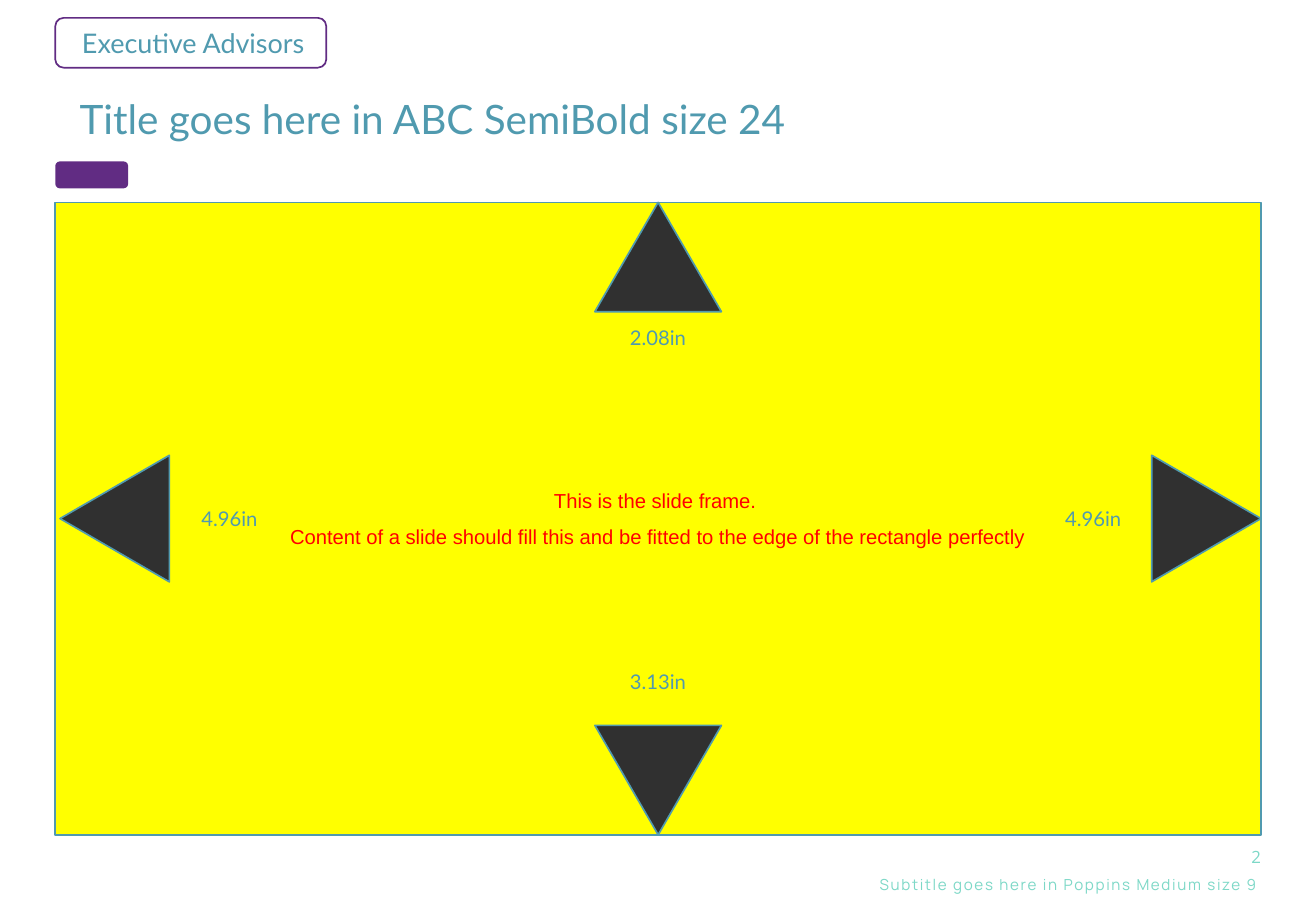
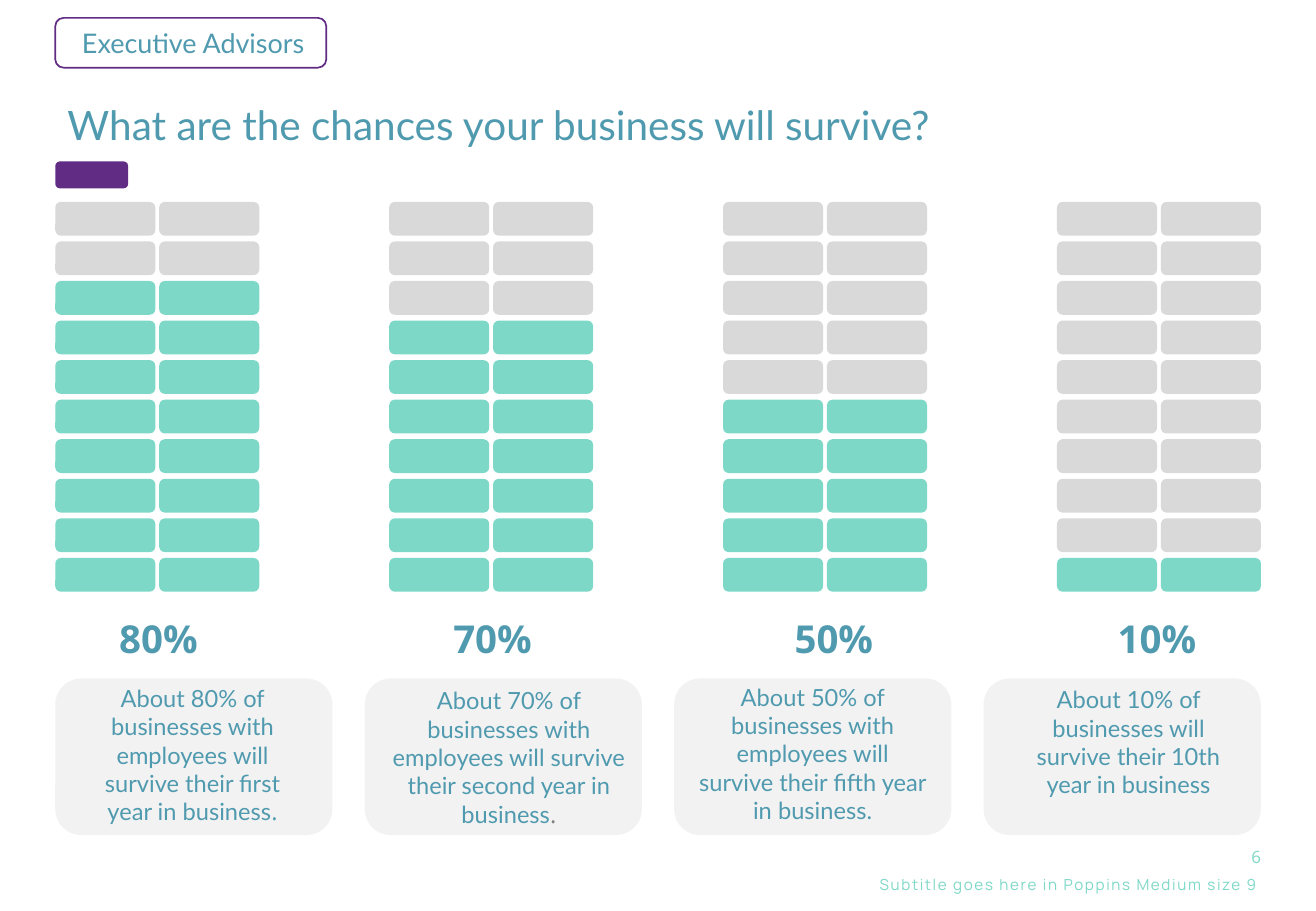
"""Build two slides on the Executive Advisors template: slide frame guide and survival rates."""
from lxml.etree import SubElement
from pptx import Presentation
from pptx.dml.color import RGBColor
from pptx.enum.shapes import MSO_SHAPE as Preset
from pptx.enum.text import MSO_ANCHOR as Anchor, MSO_AUTO_SIZE as AutoSize, PP_ALIGN as Align
from pptx.oxml.ns import qn
from pptx.util import Pt

COLORS = {
    "blue": "509AAF", "purple": "612C83", "mint": "7DD8C7", "gray": "D9D9D9",
    "card": "F2F2F2", "yellow": "FFFF00", "dark": "303030", "red": "FF0000",
    "stop": "808080",
}
FONTS = {
    "label": {"name": "Lato", "size": Pt(16)},
    "title": {"name": "Lato", "size": Pt(24), "bold": False},
    "number": {"name": "Open Sans", "size": Pt(10)},
    "subtitle": {"name": "Manrope", "size": Pt(9)},
    "guide": {"name": "Arial", "size": Pt(12)},
    "measure": {"name": "Lato", "size": Pt(12)},
    "percent": {"name": "Open Sans", "size": Pt(22.8), "bold": True},
    "caption": {"name": "Lato", "size": Pt(14)},
    "period": {"name": "Open Sans", "size": Pt(14)},
}
LEFT, TOP, WIDTH, HEIGHT = 32.8, 120, 714.5, 375


def apply(target, values):
    for name, value in values.items():
        setattr(target, name, value)


def rgb(color):
    return RGBColor.from_string(COLORS[color])


class Deck:
    def __init__(self):
        self.deck = Presentation()
        apply(self.deck, {"slide_width": Pt(780), "slide_height": Pt(540)})
        self.page = None

    def place(self, box, area):
        apply(box, dict(zip(("left", "top", "width", "height"), map(Pt, area))))

    def add_words(self, box, paragraphs, align=Align.LEFT, anchor=Anchor.TOP,
                  insets=(7.2, 3.6, 7.2, 3.6), wrap=True, gap=0):
        frame = box.text_frame
        margins = ("margin_left", "margin_top", "margin_right", "margin_bottom")
        apply(frame, dict(zip(margins, map(Pt, insets))))
        apply(frame, {"auto_size": AutoSize.NONE, "word_wrap": wrap,
                      "vertical_anchor": anchor})
        for index, spans in enumerate(paragraphs):
            para = frame.add_paragraph() if index else frame.paragraphs[0]
            apply(para, {"alignment": align, "space_before": Pt(gap if index else 0)})
            for text, style, color in spans:
                span = para.add_run()
                span.text = text
                apply(span.font, FONTS[style])
                span.font.color.rgb = rgb(color)

    def text(self, area, paragraphs, **layout):
        box = self.page.shapes.add_textbox(*map(Pt, area))
        self.add_words(box, paragraphs, **layout)

    def shape(self, preset, area, fill=None, line=None, rotation=0):
        box = self.page.shapes.add_shape(preset, *map(Pt, area))
        box.shadow.inherit = False
        box.rotation = rotation
        if fill:
            box.fill.solid()
            box.fill.fore_color.rgb = rgb(fill)
        else:
            box.fill.background()
        if line:
            box.line.color.rgb = rgb(line)
            box.line.width = Pt(1)
        else:
            box.line.fill.background()
        return box

    def subtitle(self, text):
        box = self.page.placeholders[1]
        self.place(box, (499.7, 519, 247.6, 11))
        self.add_words(box, [[(text, "subtitle", "mint")]], align=Align.RIGHT,
                       anchor=Anchor.MIDDLE, insets=(0, 0, 0, 0))
        para = box.text_frame.paragraphs[0]
        properties = para._p.get_or_add_pPr()
        properties.set("marL", "0")
        properties.set("indent", "0")
        SubElement(properties, qn("a:buNone"))
        para.runs[0]._r.get_or_add_rPr().set("spc", "100")

    def new_page(self, title, number, title_insets):
        self.page = self.deck.slides.add_slide(self.deck.slide_layouts[1])
        label = self.shape(Preset.ROUNDED_RECTANGLE, (LEFT, 10.6, 160.6, 29.5), line="purple")
        self.add_words(label, [[("Executive Advisors", "label", "blue")]],
                       insets=(14.4, 3.6, 7.2, 3.6))
        self.shape(Preset.ROUNDED_RECTANGLE, (LEFT, 95.7, 43.2, 16), fill="purple")
        heading = self.page.shapes.title
        self.place(heading, (LEFT, 52, 672.5, 42.5))
        self.add_words(heading, [[(title, "title", "blue")]], insets=title_insets)
        self.text((725, 500.4, 29.5, 15), [[(number, "number", "mint")]],
                  align=Align.RIGHT, anchor=Anchor.MIDDLE)
        self.subtitle("Subtitle goes here in Poppins Medium size 9 ")

    def stack(self, left, filled):
        for row in range(10):
            for side in range(2):
                area = (left + side * 61.6, 119.7 + row * 23.45, 59.3, 20)
                self.shape(Preset.ROUNDED_RECTANGLE, area,
                           fill="mint" if row >= 10 - filled else "gray")


def frame_page(deck):
    deck.new_page("Title goes here in ABC SemiBold size 24", "2", (14.4, 3.6, 14.4, 3.6))
    frame = deck.shape(Preset.RECTANGLE, (LEFT, TOP, WIDTH, HEIGHT), "yellow", "blue")
    lines = (
        "This is the slide frame. ",
        "Content of a slide should fill this and be fitted to the edge of the rectangle perfectly",
    )
    deck.add_words(frame, [[(line, "guide", "red")] for line in lines], align=Align.CENTER,
                   anchor=Anchor.MIDDLE, insets=(0, 0, 0, 0), wrap=False, gap=6.9)
    guides = (
        (30.5, 275, 270, 100, 296.6, "4.96in"),
        (677.5, 275, 90, 612, 296.6, "4.96in"),
        (352.6, 430, 180, 354, 393, "3.13in"),
        (352.6, 120, 0, 354, 189.4, "2.08in"),
    )
    for left, top, rotation, text_left, text_top, measure in guides:
        deck.shape(Preset.ISOSCELES_TRIANGLE, (left, top, 75, 64.8), "dark", "blue", rotation)
        deck.text((text_left, text_top, 72, 21.8), [[(measure, "measure", "blue")]],
                  align=Align.CENTER)


def survival_page(deck):
    deck.new_page("What are the chances your business will survive?", "6", (7.2, 7.2, 7.2, 7.2))
    rates = (
        (8, 50.4, (35.3, 391, 157.7, 103),
         "About 80% of businesses with employees will survive their first year in business",
         [(".", "period", "blue")]),
        (7, 248.4, (211.7, 392.4, 180, 131),
         "About 70% of businesses with employees will survive their second year in business",
         [(".", "period", "stop")]),
        (5, 450.7, (399.6, 390.2, 164.2, 106.6),
         "About 50% of businesses with employees will survive their fifth year in business.", []),
        (1, 642.2, (590.4, 391.7, 157, 90.7),
         "About 10% of businesses will survive their 10th year in business", []),
    )
    for column, (filled, percent_left, area, caption, ending) in enumerate(rates):
        deck.stack(LEFT + column * 197.9, filled)
        deck.text((percent_left, 357.2, 87.1, 42.5), [[(f"{filled * 10}%", "percent", "blue")]],
                  align=Align.CENTER, anchor=Anchor.MIDDLE, insets=(5.8, 2.9, 5.8, 2.9))
        deck.shape(Preset.ROUNDED_RECTANGLE, (LEFT + column * 183.4, 402.2, 164.3, 92.8),
                   fill="card")
        deck.text(area, [[(caption, "caption", "blue"), *ending]], align=Align.CENTER,
                  insets=(14.4, 14.4, 14.4, 14.4))


def main():
    deck = Deck()
    frame_page(deck)
    survival_page(deck)
    deck.deck.save("out.pptx")


if __name__ == "__main__":
    main()
